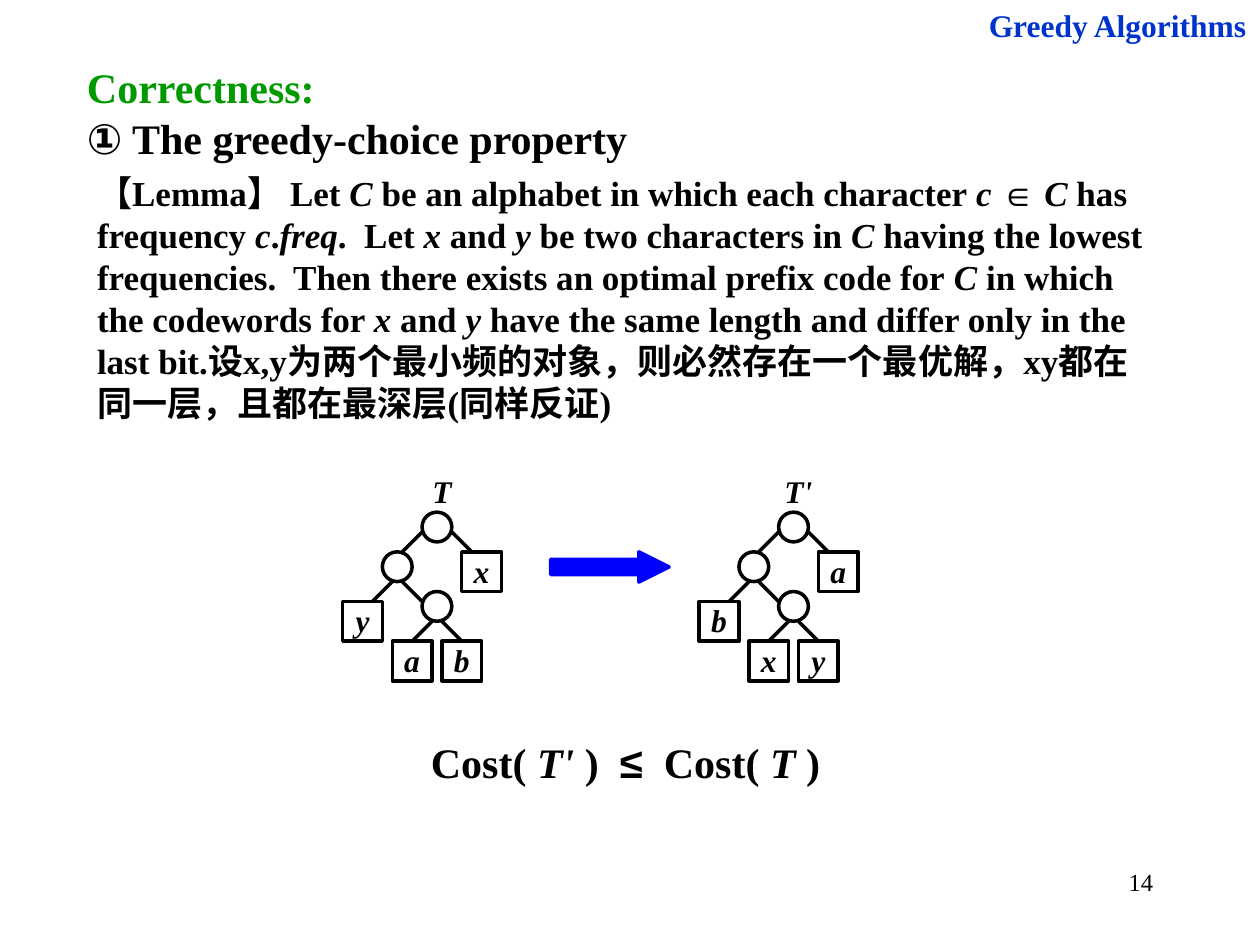
from dataclasses import dataclass
from itertools import groupby

from lxml import etree
from pptx import Presentation
from pptx.dml.color import RGBColor
from pptx.enum.shapes import MSO_CONNECTOR, MSO_SHAPE
from pptx.enum.text import MSO_ANCHOR, MSO_AUTO_SIZE, PP_ALIGN
from pptx.oxml.ns import qn
from pptx.util import Inches, Pt

LEFT, MID, RIGHT = PP_ALIGN.LEFT, PP_ALIGN.CENTER, PP_ALIGN.RIGHT
TOP, NO_FIT = MSO_ANCHOR.TOP, MSO_AUTO_SIZE.NONE
OVAL, RECT, ARROW = MSO_SHAPE.OVAL, MSO_SHAPE.RECTANGLE, MSO_SHAPE.RIGHT_ARROW
LINE = MSO_CONNECTOR.STRAIGHT


@dataclass(frozen=True)
class Theme:
    ink: RGBColor = RGBColor(0, 0, 0)
    green: RGBColor = RGBColor(0x00, 0x99, 0x00)
    navy: RGBColor = RGBColor(0x00, 0x33, 0xCC)
    blue: RGBColor = RGBColor(0x00, 0x00, 0xFF)
    big: int = 24
    text: int = 20
    label: int = 18
    page: int = 14
    stroke: int = 2
    serif: str = "Times New Roman"
    sans: str = "Arial"
    han: str = "Noto Sans CJK SC"


THEME = Theme()
PAD = (0.1, 0.05, 0.1, 0.05)
SNUG = (0.02, 0, 0.02, 0.01)

# Tree layout in grid units: 16 units span the width of a tree
NODES = [(8, 4), (4, 8), (8, 12)]
EDGES = [(8, 6, 6, 8), (6, 11, 8, 13), (5, 11, 3, 13),
         (9, 15, 7, 17), (11, 6, 13, 8), (10, 15, 12, 17)]
LEAVES = [(0, 13), (12, 8), (5, 17), (10, 17)]
SPAN = 16

LEMMA = ("【Lemma】 Let *C* be an alphabet in which each character *c *∈ *C* "
         "has frequency *c*.*freq*.  Let *x* and *y* be two characters in *C* "
         "having the lowest frequencies.  Then there exists an optimal prefix "
         "code for *C* in which the codewords for *x* and *y* have the same "
         "length and differ only in the last bit.设x,y为两个最小频的对象，"
         "则必然存在一个最优解，xy都在同一层，且都在最深层(同样反证)")


def face(char):
    """Pick the typeface that holds a character."""
    if char in "①∈≤":
        return THEME.sans
    return THEME.han if char in "【】" else THEME.serif


def write(frame, *lines, size=THEME.text, color=THEME.ink, bold=True,
          align=LEFT, pad=PAD, first=None):
    """Fill a frame with lines; asterisks switch italics on and off."""
    frame.word_wrap, frame.auto_size = True, NO_FIT
    frame.vertical_anchor = TOP
    (frame.margin_left, frame.margin_top,
     frame.margin_right, frame.margin_bottom) = map(Inches, pad)
    for row, line in enumerate(lines):
        para = frame.add_paragraph() if row else frame.paragraphs[0]
        para.alignment, para.space_before = align, Pt(0)
        for turn, part in enumerate(line.split("*")):
            for name, chars in groupby(part, face):
                run = para.add_run()
                run.text = "".join(chars)
                font = run.font
                font.size, font.bold, font.italic = Pt(size), bold, turn % 2 == 1
                font.color.rgb = first if first and row == 0 else color
                font.name = name
                east = etree.SubElement(run._r.get_or_add_rPr(), qn("a:ea"))
                east.set("typeface", THEME.han)


def place(shape, box):
    shape.left, shape.top, shape.width, shape.height = map(Inches, box)


def note(slide, box, line, **style):
    frame = slide.shapes.add_textbox(*map(Inches, box)).text_frame
    write(frame, line, **style)


def draw(group, kind, box, color=THEME.ink, fill=None):
    """Add an outlined shape, filled only on request."""
    shape = group.shapes.add_shape(kind, *map(Inches, box))
    shape.shadow.inherit = False
    shape.line.color.rgb, shape.line.width = color, Pt(THEME.stroke)
    if fill is None:
        shape.fill.background()
    else:
        shape.fill.solid()
        shape.fill.fore_color.rgb = fill
    return shape


def head(slide, box):
    place(slide.shapes.title, box)
    write(slide.shapes.title.text_frame, "Correctness:",
          "① The greedy-choice property", size=THEME.big, first=THEME.green)


def body(slide, box):
    hold = slide.placeholders[1]
    place(hold, box)
    props = hold.text_frame.paragraphs[0]._p.get_or_add_pPr()
    props.set("marL", "0")
    props.set("indent", "0")
    etree.SubElement(props, qn("a:buNone"))
    write(hold.text_frame, LEMMA)


def tree(slide, box, name, leaves):
    """Draw a code tree inside a box given as left, top and width."""
    left, top, width = box
    unit = width / SPAN
    group = slide.shapes.add_group_shape()

    def cell(x, y, wide, high):
        return left + x * unit, top + y * unit, wide * unit, high * unit

    for x, y in NODES:
        draw(group, OVAL, cell(x, y, 3, 3))
    for x, y, end, foot in EDGES:
        ends = cell(x, y, 0, 0)[:2] + cell(end, foot, 0, 0)[:2]
        edge = group.shapes.add_connector(LINE, *map(Inches, ends))
        edge.line.color.rgb, edge.line.width = THEME.ink, Pt(THEME.stroke)
        etree.SubElement(edge._element.spPr, qn("a:effectLst"))
    style = dict(size=THEME.label, align=MID, pad=SNUG)
    for (x, y), text in zip(LEAVES, leaves):
        leaf = draw(group, RECT, cell(x, y, 4, 4))
        write(leaf.text_frame, f"*{text}*", **style)
    note(group, cell(7, 0, 6, 4), f"*{name}*", **style)


def swap(slide, box):
    """Two trees with an arrow from the first to the second."""
    left, top, width, step = box
    tree(slide, (left, top, width), "T", "yxab")
    tree(slide, (left + step, top, width), "T'", "baxy")
    arrow = draw(slide, ARROW, (left + 1.65, top + 0.63, 0.94, 0.24),
                 THEME.blue, THEME.blue)
    arrow.adjustments[0], arrow.adjustments[1] = 0.5, 1


def main():
    deck = Presentation()
    deck.slide_width, deck.slide_height = Inches(10), Inches(7.5)
    slide = deck.slides.add_slide(deck.slide_layouts[1])
    # Page number and running header
    note(slide, (7.17, 6.83, 2.08, 0.5), "14", size=THEME.page,
         bold=False, align=RIGHT)
    note(slide, (7.52, 0, 2.47, 0.4), "Greedy Algorithms", size=THEME.label,
         color=THEME.navy, align=RIGHT)
    # Heading and lemma
    head(slide, (0.59, 0.44, 8.25, 0.9))
    body(slide, (0.67, 1.31, 8.5, 2.1))
    # Trees and the resulting bound
    swap(slide, (2.72, 3.75, 1.26, 2.83))
    note(slide, (3.23, 5.8, 3.47, 0.5), "Cost( *T'* )  ≤  Cost( *T *)",
         size=THEME.big, align=MID)
    deck.save("out.pptx")


if __name__ == "__main__":
    main()
